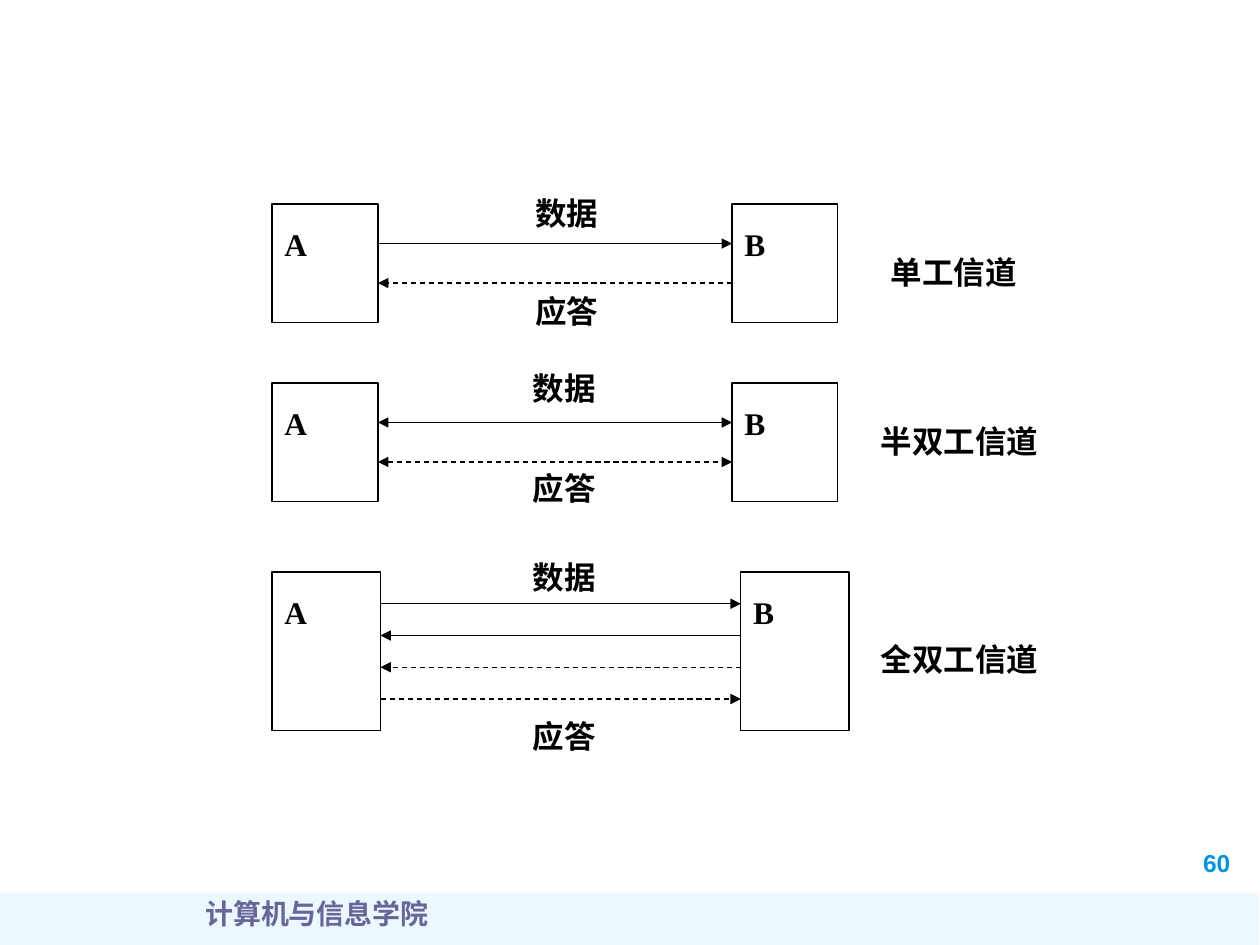
from dataclasses import dataclass

from lxml import etree
from pptx import Presentation
from pptx.dml.color import RGBColor
from pptx.enum import dml, shapes, text
from pptx.oxml import ns
from pptx.util import Inches, Pt


@dataclass(frozen=True)
class Theme:
    ink: RGBColor = RGBColor(0, 0, 0)
    paper: RGBColor = RGBColor(255, 255, 255)
    band: RGBColor = RGBColor(0xA7, 0xE2, 0xFF)
    number: RGBColor = RGBColor(0x00, 0x94, 0xDE)
    school: RGBColor = RGBColor(0x66, 0x66, 0x99)
    sans: str = "Arial"
    serif: str = "Times New Roman"
    body_size: int = 18
    school_size: int = 16
    number_size: int = 14
    line_width: float = 0.75


THEME = Theme()
STATION_A_LEFT = 2.16
FORWARD, BACKWARD, BOTH = "forward", "backward", "both"


@dataclass(frozen=True)
class Channel:
    """One pair of stations; arrows are (direction, dashed) from top to bottom."""
    name: str
    name_at: tuple
    name_width: float
    top: float
    width: float
    height: float
    station_b_left: float
    label_left: float
    data_top: float
    reply_top: float
    arrows: tuple


CHANNELS = (
    Channel("单工信道", (6.97, 1.96), 1.28, 1.62, 0.84, 0.94, 5.81, 4.15, 1.49, 2.27,
            ((FORWARD, False), (BACKWARD, True))),
    Channel("半双工信道", (6.89, 3.3), 1.46, 3.04, 0.84, 0.94, 5.81, 4.13, 2.88, 3.67,
            ((BOTH, False), (BOTH, True))),
    Channel("全双工信道", (6.89, 5.03), 1.46, 4.54, 0.86, 1.26, 5.88, 4.13, 4.38, 5.64,
            ((FORWARD, False), (BACKWARD, False), (BACKWARD, True), (FORWARD, True))),
)


def style(paragraph, size, color, face):
    font = paragraph.font
    font.size, font.bold, font.name = Pt(size), True, face
    font.color.rgb = color


def add_text(slide, words, left, top, width, height, size=THEME.body_size,
             color=THEME.ink, face=THEME.sans, align=text.PP_ALIGN.LEFT,
             anchor=text.MSO_ANCHOR.MIDDLE, wrap=False):
    frame = slide.shapes.add_textbox(
        Inches(left), Inches(top), Inches(width), Inches(height)).text_frame
    frame.word_wrap = wrap
    frame.vertical_anchor = anchor
    paragraph = frame.paragraphs[0]
    paragraph.text = words
    paragraph.alignment = align
    style(paragraph, size, color, face)


def add_rectangle(slide, left, top, width, height, fill):
    rectangle = slide.shapes.add_shape(
        shapes.MSO_SHAPE.RECTANGLE,
        Inches(left), Inches(top), Inches(width), Inches(height))
    rectangle.shadow.inherit = False
    rectangle.fill.solid()
    rectangle.fill.fore_color.rgb = fill
    rectangle.line.fill.background()
    return rectangle


def add_station(slide, letter, left, channel):
    station = add_rectangle(slide, left, channel.top, channel.width, channel.height,
                            THEME.paper)
    station.line.color.rgb = THEME.ink
    station.line.width = Pt(THEME.line_width)
    frame = station.text_frame
    frame.vertical_anchor = text.MSO_ANCHOR.TOP
    frame.margin_top = Inches(0.08)
    paragraph = frame.paragraphs[0]
    paragraph.text = letter
    paragraph.alignment = text.PP_ALIGN.JUSTIFY
    paragraph.line_spacing = 1.3
    style(paragraph, THEME.body_size, THEME.ink, THEME.serif)


def add_arrow(slide, start, end, y, direction, dashed):
    if direction == BACKWARD:
        start, end = end, start
    arrow = slide.shapes.add_connector(
        shapes.MSO_CONNECTOR.STRAIGHT, Inches(start), Inches(y), Inches(end), Inches(y))
    line = arrow.line
    line.color.rgb = THEME.ink
    line.width = Pt(THEME.line_width)
    if dashed:
        line.dash_style = dml.MSO_LINE.DASH
    properties = arrow._element.spPr
    outline = properties.find(ns.qn("a:ln"))
    for tag in ("a:headEnd", "a:tailEnd") if direction == BOTH else ("a:tailEnd",):
        etree.SubElement(outline, ns.qn(tag), type="triangle")
    etree.SubElement(properties, ns.qn("a:effectLst"))


def add_channel(slide, channel):
    add_station(slide, "A", STATION_A_LEFT, channel)
    add_station(slide, "B", channel.station_b_left, channel)
    gap = channel.height / (len(channel.arrows) + 1)
    for row, (direction, dashed) in enumerate(channel.arrows, start=1):
        add_arrow(slide, STATION_A_LEFT + channel.width, channel.station_b_left,
                  channel.top + row * gap, direction, dashed)
    add_text(slide, "数据", channel.label_left, channel.data_top, 0.77, 0.4)
    add_text(slide, "应答", channel.label_left, channel.reply_top, 0.77, 0.4)
    add_text(slide, channel.name, *channel.name_at, channel.name_width, 0.4)


def add_footer(slide):
    band = add_rectangle(slide, -0.01, 7.09, 10, 0.44, THEME.band)
    color = band._element.spPr.find(".//" + ns.qn("a:srgbClr"))
    etree.SubElement(color, ns.qn("a:alpha"), val="21000")
    add_text(slide, "60", 9.45, 6.68, 0.59, 0.33, THEME.number_size, THEME.number,
             anchor=text.MSO_ANCHOR.TOP, wrap=True)
    add_text(slide, "计算机与信息学院", 0.27, 7.07, 4.49, 0.5, THEME.school_size,
             THEME.school, THEME.serif, text.PP_ALIGN.CENTER,
             text.MSO_ANCHOR.TOP, wrap=True)


def main():
    deck = Presentation()
    deck.slide_width, deck.slide_height = Inches(10), Inches(7.5)
    slide = deck.slides.add_slide(deck.slide_layouts[6])
    add_footer(slide)
    for channel in CHANNELS:
        add_channel(slide, channel)
    deck.save("out.pptx")


if __name__ == "__main__":
    main()
